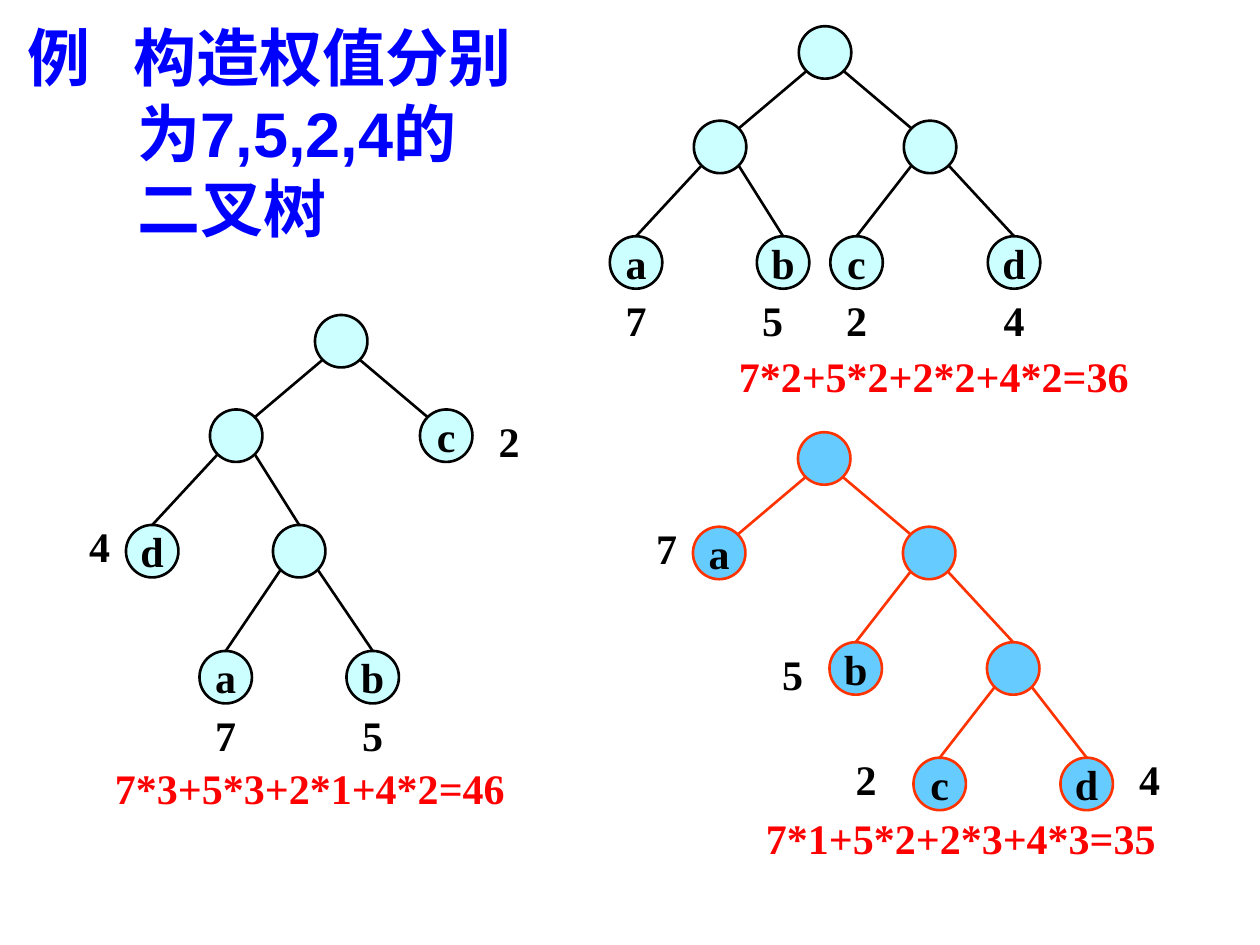
import dataclasses
import math

import pptx
import pptx.dml.color
import pptx.enum.shapes
import pptx.enum.text
import pptx.oxml.ns
import pptx.util

Pt = pptx.util.Pt
RGB = pptx.dml.color.RGBColor.from_string
ANCHOR = pptx.enum.text.MSO_ANCHOR
ALIGN = pptx.enum.text.PP_ALIGN
AUTO_SIZE = pptx.enum.text.MSO_AUTO_SIZE


@dataclasses.dataclass(frozen=True)
class Theme:
    """Colours, fonts and sizes of the slide."""
    heading: str = "0000FF"
    ink: str = "000000"
    formula: str = "FF0000"
    plain: tuple = ("CCFFFF", "000000")
    optimal: tuple = ("66CCFF", "FF3300")
    serif: str = "Times New Roman"
    sans: str = "Arial"
    heading_size: int = 36
    body_size: int = 24
    line_width: float = 1.5
    diameter: int = 30
    label_height: int = 36


@dataclasses.dataclass(frozen=True)
class Node:
    """A tree node, with the index of its parent and the shift of its weight."""
    x: float
    y: float
    parent: int = None
    letter: str = ""
    weight: str = ""
    shift: tuple = (0, 30)


THEME = Theme()

BALANCED = [
    Node(108, 0),
    Node(48, 54, 0),
    Node(0, 120, 1, "a", "7"),
    Node(84, 120, 1, "b", "5", (-6, 30)),
    Node(168, 54, 0),
    Node(126, 120, 4, "c", "2"),
    Node(216, 120, 4, "d", "4"),
]
LEFT_DEEP = [
    Node(108, 0),
    Node(48, 54, 0),
    Node(0, 120, 1, "d", "4", (-30, -6)),
    Node(84, 120, 1),
    Node(168, 54, 0, "c", "2", (36, 0)),
    Node(42, 192, 3, "a", "7"),
    Node(126, 192, 3, "b", "5"),
]
OPTIMAL = [
    Node(60, 0),
    Node(0, 54, 0, "a", "7", (-30, -6)),
    Node(120, 54, 0),
    Node(78, 120, 2, "b", "5", (-36, 0)),
    Node(168, 120, 2),
    Node(126, 186, 4, "c", "2", (-42, -6)),
    Node(210, 186, 4, "d", "4", (36, -6)),
]


def apply_format(target, **values):
    """Set each named attribute on the target."""
    for attribute, value in values.items():
        setattr(target, attribute, value)


def add_run(paragraph, text, color, size, font):
    """Append a bold run to the paragraph."""
    run = paragraph.add_run()
    run.text = text
    apply_format(run.font, name=font, size=Pt(size), bold=True)
    run.font.color.rgb = RGB(color)


def add_label(shapes, box, text, color):
    """Place centred text in the box."""
    label = shapes.add_textbox(*map(Pt, box)).text_frame
    apply_format(label, word_wrap=True, auto_size=AUTO_SIZE.NONE)
    label.paragraphs[0].alignment = ALIGN.CENTER
    add_run(label.paragraphs[0], text, color, THEME.body_size, THEME.serif)


def add_node(shapes, left, top, letter, colors):
    """Draw one round node with its letter."""
    fill, outline = colors
    size = Pt(THEME.diameter)
    circle = shapes.add_shape(pptx.enum.shapes.MSO_SHAPE.OVAL,
                              Pt(left), Pt(top), size, size)
    circle.shadow.inherit = False
    circle.fill.solid()
    circle.fill.fore_color.rgb = RGB(fill)
    circle.line.color.rgb = RGB(outline)
    circle.line.width = Pt(THEME.line_width)
    if letter:
        apply_format(circle.text_frame, word_wrap=False,
                     vertical_anchor=ANCHOR.MIDDLE)
        paragraph = circle.text_frame.paragraphs[0]
        paragraph.alignment = ALIGN.CENTER
        add_run(paragraph, letter, THEME.ink, THEME.body_size, THEME.serif)
    return circle


def add_edge(shapes, parent, child, child_circle, origin, color):
    """Join a parent to its child, at the shoulder below the root and else at the top."""
    left, top = origin
    radius = THEME.diameter / 2
    reach = radius * math.sqrt(0.5)
    side = 1 if child.x > parent.x else -1
    start = (left + parent.x + radius + side * reach,
             top + parent.y + radius + reach)
    end = (left + child.x + radius - side * reach,
           top + child.y + radius - reach)
    edge = shapes.add_connector(pptx.enum.shapes.MSO_CONNECTOR.STRAIGHT,
                                *map(Pt, start + end))
    if parent.parent is not None:
        edge.end_connect(child_circle, 0)
    edge.line.color.rgb = RGB(color)
    edge.line.width = Pt(THEME.line_width)
    properties = edge._element.spPr
    properties.append(properties.makeelement(pptx.oxml.ns.qn("a:effectLst"), {}))


def add_tree(slide, origin, nodes, colors, formula, formula_box):
    """Draw a weighted tree and its path length from the given top-left corner."""
    left, top = origin
    shapes = slide.shapes.add_group_shape().shapes
    circles = [add_node(shapes, left + node.x, top + node.y, node.letter, colors)
               for node in nodes]
    for node, circle in zip(nodes, circles):
        if node.parent is not None:
            add_edge(shapes, nodes[node.parent], node, circle, origin, colors[1])
    for node in nodes:
        if node.weight:
            across, down = node.shift
            add_label(shapes, (left + node.x + across, top + node.y + down,
                               THEME.diameter, THEME.label_height),
                      node.weight, THEME.ink)
    across, down, width = formula_box
    add_label(slide.shapes, (left + across, top + down, width, THEME.label_height),
              formula, THEME.formula)


def add_heading(slide, box):
    """Format the title placeholder with a hanging indent."""
    heading = slide.shapes.title
    left, top, width, height = map(Pt, box)
    apply_format(heading, left=left, top=top, width=width, height=height)
    apply_format(heading.text_frame, word_wrap=True, auto_size=AUTO_SIZE.NONE,
                 vertical_anchor=ANCHOR.TOP)
    paragraph = heading.text_frame.paragraphs[0]
    paragraph.alignment = ALIGN.LEFT
    indent = paragraph._p.get_or_add_pPr()
    indent.set("marL", str(Pt(63)))
    indent.set("indent", str(-Pt(63)))
    for text, font in (("例   构造", THEME.serif),
                       ("权值分别为7,5,2,4的", THEME.sans),
                       ("二叉树", THEME.serif)):
        add_run(paragraph, text, THEME.heading, THEME.heading_size, font)


def main():
    """Build and save the slide."""
    deck = pptx.Presentation()
    apply_format(deck, slide_width=Pt(720), slide_height=Pt(540))
    slide = deck.slides.add_slide(deck.slide_layouts[5])
    add_heading(slide, (8.5, 7, 294.5, 137))
    add_tree(slide, (348.5, 15), BALANCED, THEME.plain,
             "7*2+5*2+2*2+4*2=36", (29, 181.5, 312))
    add_tree(slide, (396, 247), OPTIMAL, THEME.optimal,
             "7*1+5*2+2*3+4*3=35", (0, 214, 306))
    add_tree(slide, (72, 180), LEFT_DEEP, THEME.plain,
             "7*3+5*3+2*1+4*2=46", (-48, 252, 306))
    deck.save("out.pptx")


if __name__ == "__main__":
    main()
